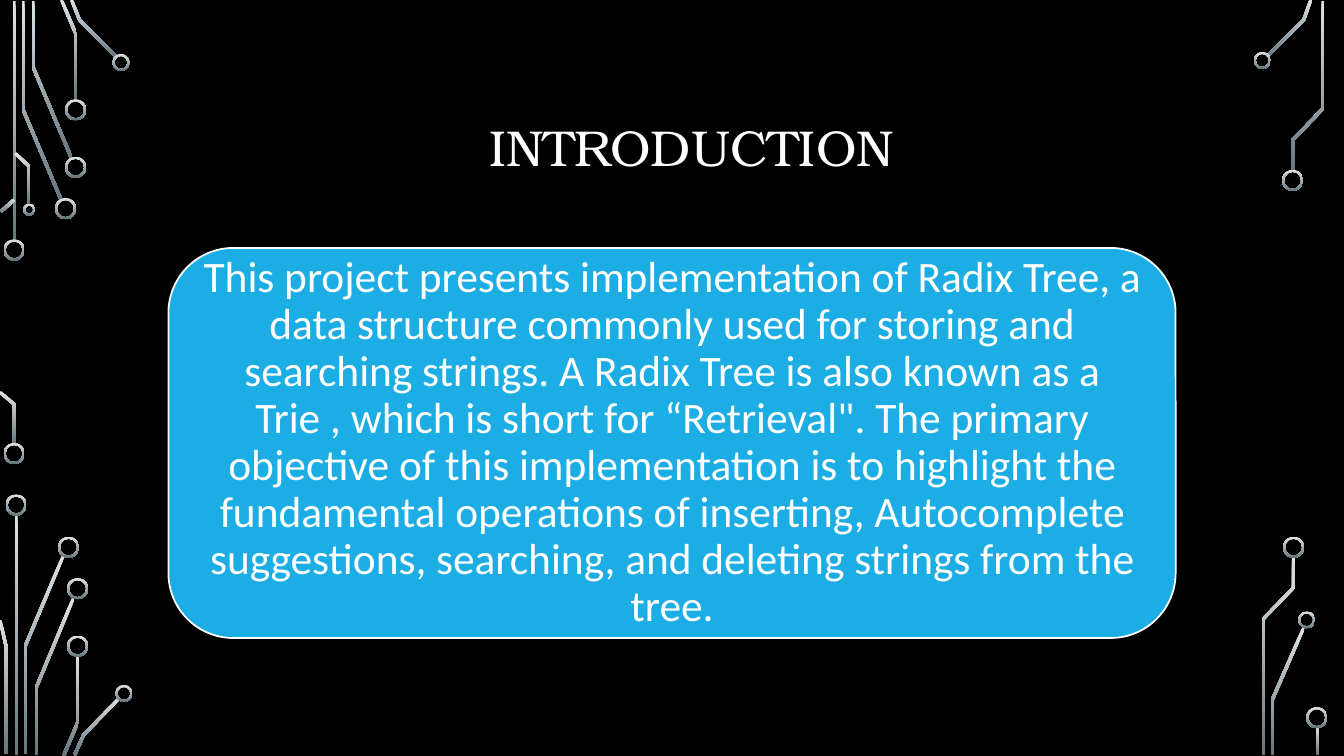
from dataclasses import dataclass
from math import hypot

from pptx import Presentation
from pptx.dml.color import RGBColor
from pptx.enum.shapes import MSO_SHAPE
from pptx.enum.text import MSO_ANCHOR, MSO_AUTO_SIZE, PP_ALIGN
from pptx.util import Inches, Pt


@dataclass(frozen=True)
class Theme:
    """Colours, fonts and sizes of the slide."""
    background: RGBColor = RGBColor(0x00, 0x00, 0x00)
    text: RGBColor = RGBColor(0xFF, 0xFF, 0xFF)
    panel: RGBColor = RGBColor(0x1C, 0xAD, 0xE4)
    circuit_top: RGBColor = RGBColor(0xDF, 0xE3, 0xE5)
    circuit_bottom: RGBColor = RGBColor(0x65, 0x75, 0x7D)
    title_font: str = "TeX Gyre Bonum"
    body_font: str = "Calibri"
    title_size: int = 36
    body_size: int = 31
    panel_line: float = 1.25
    trace_width: float = 0.03
    ring_width: float = 0.02


THEME = Theme()

TITLE = "INTRODUCTION"
BODY = (
    "This project presents implementation of Radix Tree, a data structure "
    "commonly used for storing and searching strings. A Radix Tree is also "
    "known as a Trie , which is short for “Retrieval\". The primary objective "
    "of this implementation is to highlight the fundamental operations of "
    "inserting, Autocomplete suggestions, searching, and deleting strings "
    "from the tree."
)

TRACES = [
    [(0.14, 0.01), (0.14, 2.4)],
    [(0.23, 0.01), (0.23, 1.09), (0.61, 1.99)],
    [(0.33, 0.01), (0.33, 0.67), (0.71, 1.57)],
    [(0.61, 0), (0.75, 0.33), (0.75, 1)],
    [(0.71, 0), (0.79, 0.2), (1.16, 0.57)],
    [(0.01, 2.1), (0.14, 1.98)],
    [(0, 3.89), (0.14, 4.01), (0.14, 4.41)],
    [(0.15, 1.52), (0.29, 1.65), (0.29, 2.03)],
    [(0.16, 5.1), (0.16, 7.49)],
    [(0.25, 7.48), (0.25, 6.41), (0.63, 5.51)],
    [(0, 6.15), (0.06, 6.41), (0.06, 7.48)],
    [(0.36, 7.49), (0.36, 6.82), (0.73, 5.93)],
    [(0.63, 7.5), (0.77, 7.17), (0.77, 6.5)],
    [(0.74, 7.49), (0.83, 7.29), (1.18, 6.93)],
    [(13, 0), (12.93, 0.2), (12.57, 0.56)],
    [(13.12, 0.01), (13.12, 1.08), (12.82, 1.39), (12.82, 1.69)],
    [(12.62, 7.49), (12.62, 6.94), (12.93, 6.23)],
    [(12.53, 7.49), (12.53, 6.14), (12.83, 5.83), (12.83, 5.52)],
    [(13.07, 7.21), (13.07, 7.49)],
]

RING_CENTRES = {
    0.21: [
        (0.14, 2.48), (0.14, 4.5), (0.65, 2.07), (0.75, 1.66), (0.75, 1.09),
        (0.16, 5.01), (0.68, 5.43), (0.77, 5.84), (0.77, 6.41),
        (12.82, 1.79), (12.83, 5.43), (13.06, 7.12),
    ],
    0.17: [(1.2, 0.62), (1.23, 6.88), (12.52, 0.6), (12.96, 6.15)],
    0.12: [(0.29, 2.08)],
}


def style_circuit(shape):
    """Give a circuit part its vertical gradient, without line or shadow."""
    shape.shadow.inherit = False
    shape.line.fill.background()
    shape.fill.gradient()
    shape.fill.gradient_angle = 270
    stops = shape.fill.gradient_stops
    stops[0].color.rgb = THEME.circuit_top
    stops[1].color.rgb = THEME.circuit_bottom


def offset_side(points, distance):
    """Return the mitred parallel of a polyline at the given distance."""
    normals = []
    for (x1, y1), (x2, y2) in zip(points, points[1:]):
        length = hypot(x2 - x1, y2 - y1)
        normals.append(((y1 - y2) / length, (x2 - x1) / length))
    side = []
    for (x, y), (ax, ay), (bx, by) in zip(
        points, normals[:1] + normals, normals + normals[-1:]
    ):
        scale = distance / (1 + ax * bx + ay * by)
        side.append((x + (ax + bx) * scale, y + (ay + by) * scale))
    return side


def add_trace(slide, points):
    """Draw one circuit trace as a ribbon around its centre line."""
    half = THEME.trace_width / 2
    outline = offset_side(points, half) + offset_side(points, -half)[::-1]
    corners = [(Inches(x), Inches(y)) for x, y in outline]
    builder = slide.shapes.build_freeform(*corners[0])
    builder.add_line_segments(corners[1:], close=True)
    style_circuit(builder.convert_to_shape())


def add_ring(slide, centre, diameter):
    """Draw one circuit terminal as a thin ring."""
    x, y = centre
    ring = slide.shapes.add_shape(
        MSO_SHAPE.DONUT, Inches(x - diameter / 2), Inches(y - diameter / 2),
        Inches(diameter), Inches(diameter),
    )
    ring.adjustments[0] = THEME.ring_width / diameter
    style_circuit(ring)


def write_text(frame, text, font_name, size, alignment):
    """Set a single middle-anchored paragraph and its formatting."""
    frame.text = text
    frame.word_wrap = True
    frame.auto_size = MSO_AUTO_SIZE.NONE
    frame.vertical_anchor = MSO_ANCHOR.MIDDLE
    paragraph = frame.paragraphs[0]
    paragraph.alignment = alignment
    paragraph.line_spacing = 0.9
    font = paragraph.runs[0].font
    font.name = font_name
    font.size = Pt(size)
    font.color.rgb = THEME.text


def place_title(slide):
    """Move the title placeholder and indent its text."""
    title = slide.shapes.title
    title.left, title.top = Inches(1.25), Inches(0.68)
    title.width, title.height = Inches(10.83), Inches(1.62)
    write_text(title.text_frame, TITLE, THEME.title_font, THEME.title_size,
               PP_ALIGN.LEFT)
    title.text_frame.margin_left = Inches(3.6)


def add_panel(slide):
    """Add the rounded panel with the introduction."""
    panel = slide.shapes.add_shape(
        MSO_SHAPE.ROUNDED_RECTANGLE, Inches(1.67), Inches(2.46),
        Inches(9.99), Inches(3.87),
    )
    panel.shadow.inherit = False
    panel.fill.solid()
    panel.fill.fore_color.rgb = THEME.panel
    panel.line.color.rgb = THEME.text
    panel.line.width = Pt(THEME.panel_line)
    frame = panel.text_frame
    write_text(frame, BODY, THEME.body_font, THEME.body_size, PP_ALIGN.CENTER)
    frame.margin_left = frame.margin_right = Inches(0.13)
    frame.margin_top = frame.margin_bottom = Inches(0.06)


def main():
    """Build the introduction slide and save it."""
    presentation = Presentation()
    presentation.slide_width = Inches(13.33)
    presentation.slide_height = Inches(7.5)
    slide = presentation.slides.add_slide(presentation.slide_layouts[5])
    slide.background.fill.solid()
    slide.background.fill.fore_color.rgb = THEME.background
    for points in TRACES:
        add_trace(slide, points)
    for diameter, centres in RING_CENTRES.items():
        for centre in centres:
            add_ring(slide, centre, diameter)
    place_title(slide)
    add_panel(slide)
    presentation.save("out.pptx")


if __name__ == "__main__":
    main()
